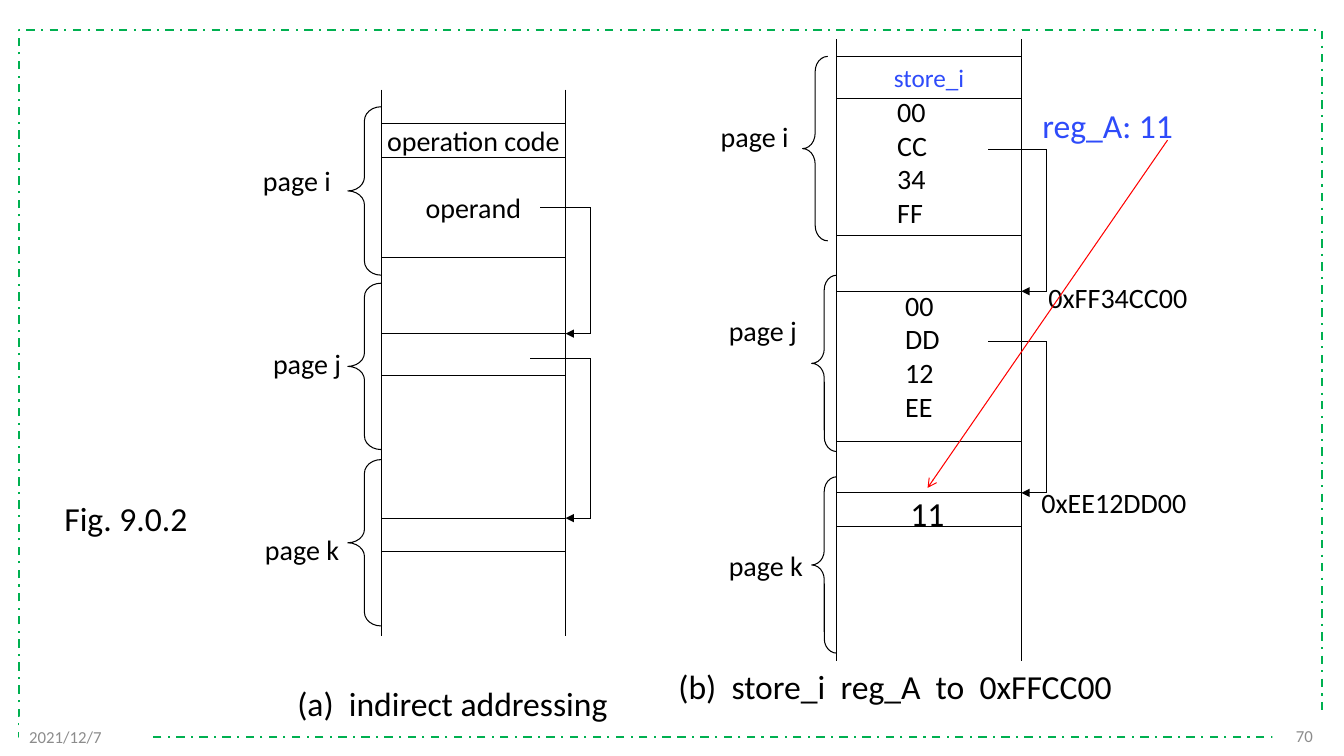
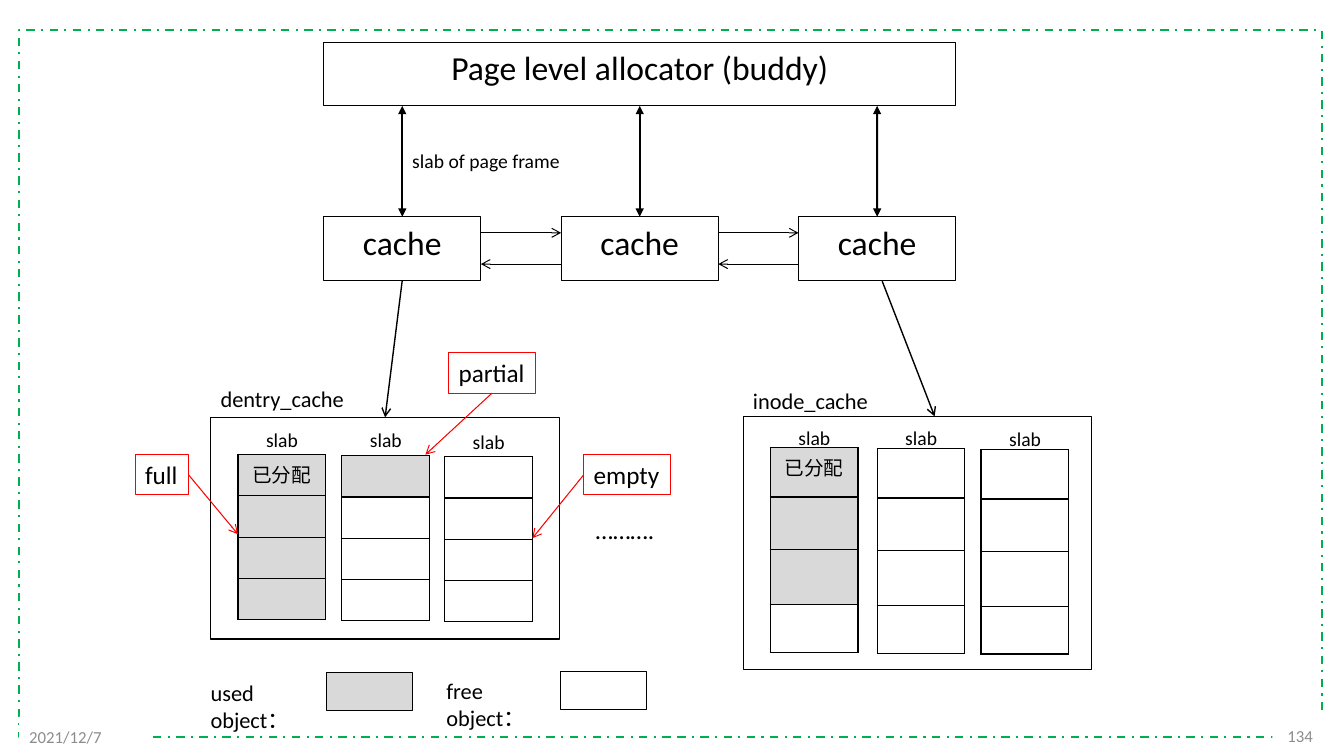
import pptx
import pptx.util
import pptx.dml.color
import pptx.enum.dml
import pptx.enum.shapes
import pptx.enum.text
import pptx.oxml
import pptx.oxml.ns
import lxml.etree

Inches = pptx.util.Inches
Pt = pptx.util.Pt
rgb = pptx.dml.color.RGBColor.from_string
qn = pptx.oxml.ns.qn
SHAPE = pptx.enum.shapes.MSO_SHAPE
ALIGN = pptx.enum.text.PP_ALIGN
ANCHOR = pptx.enum.text.MSO_ANCHOR
FONT = "Calibri"
BLACK, WHITE, GREY = "000000", "FFFFFF", "D9D9D9"
RED, BLUE, GREEN, FOOTER = "FF0000", "2E4BFA", "00B050", "8C8C8C"


def add_box(s, x, y, w, h, text="", size=20, color=BLACK, fill=None, line=None,
            shape=SHAPE.RECTANGLE, align=ALIGN.LEFT, anchor=ANCHOR.TOP, wrap=False):
    rect = Inches(x), Inches(y), Inches(w), Inches(h)
    if fill or line:
        sp = s.shapes.add_shape(shape, *rect)
        sp.shadow.inherit = False
        if fill:
            sp.fill.solid()
            sp.fill.fore_color.rgb = rgb(fill)
        else:
            sp.fill.background()
        if line:
            sp.line.color.rgb = rgb(line)
            sp.line.width = Pt(0.75)
        else:
            sp.line.fill.background()
    else:
        sp = s.shapes.add_textbox(*rect)
    if text:
        tf = sp.text_frame
        tf.word_wrap = wrap
        tf.vertical_anchor = anchor
        tf.text = text
        for p in tf.paragraphs:
            p.alignment = align
            p.font.name = FONT
            p.font.size = Pt(size)
            p.font.color.rgb = rgb(color)
    return sp


def add_line(s, x1, y1, x2, y2, color=BLACK, width=0.75, head=None, tail=None,
             begin=None, end=None):
    cx = s.shapes.add_connector(pptx.enum.shapes.MSO_CONNECTOR.STRAIGHT,
                                Inches(x1), Inches(y1), Inches(x2), Inches(y2))
    if begin:
        cx.begin_connect(*begin)
    if end:
        cx.end_connect(*end)
    cx.line.color.rgb = rgb(color)
    cx.line.width = Pt(width)
    ln = cx.line._get_or_add_ln()
    for tag, kind in (("a:headEnd", head), ("a:tailEnd", tail)):
        if kind:
            lxml.etree.SubElement(ln, qn(tag)).set("type", kind)
    lxml.etree.SubElement(cx._element.spPr, qn("a:effectLst"))
    return cx


prs = pptx.Presentation()
prs.slide_width, prs.slide_height = Inches(13.33), Inches(7.5)
paging, slab = [prs.slides.add_slide(prs.slide_layouts[6]) for _ in range(2)]

frame = add_box(paging, 0.19, 0.3, 12.92, 7.01, line=GREEN)
frame.line.width = Pt(1.5)
frame.line.dash_style = pptx.enum.dml.MSO_LINE.DASH_DOT
prs.slide_master.shapes._spTree.insert(2, frame._element)

for s, number in ((paging, "70"), (slab, "134")):
    add_box(s, 12.62, 7.1, 0.5, 0.4, number, 12, FOOTER, WHITE,
            align=ALIGN.RIGHT, anchor=ANCHOR.MIDDLE, wrap=True)
    add_box(s, 0.19, 7.11, 1.32, 0.4, "2021/12/7", 12, FOOTER, WHITE,
            anchor=ANCHOR.MIDDLE, wrap=True)

s = paging
COLUMN_W = 1.83
for x, y, h, text, size, color in (
    (3.78, 1.23, 0.33, "operation code", 20, BLACK),
    (3.78, 1.56, 1, "operand", 20, BLACK),
    (3.78, 3.31, 0.42, "", 20, BLACK),
    (3.78, 5.14, 0.33, "", 20, BLACK),
    (8.3, 0.56, 0.42, "store_i", 18, BLUE),
    (8.3, 0.98, 1.36, "", 20, BLACK),
    (8.3, 2.89, 1.49, "", 20, BLACK),
    (8.3, 4.89, 0.33, "", 20, BLACK),
):
    add_box(s, x, y, COLUMN_W, h, text, size, color, WHITE, BLACK,
            align=ALIGN.CENTER, anchor=ANCHOR.MIDDLE)

for left, top, bottom in ((3.78, 0.89, 6.31), (8.3, 0.39, 6.56)):
    for x in (left, left + COLUMN_W):
        add_line(s, x, top, x, bottom)

for x, y, w, h, adj in (
    (3.45, 1.06, 0.33, 1.67, 0.42), (3.45, 2.81, 0.33, 1.65, 0.41),
    (3.45, 4.56, 0.33, 1.65, 0.41), (7.96, 0.56, 0.25, 1.83, 0.61),
    (8.05, 2.73, 0.25, 1.75, 0.58), (8.05, 4.73, 0.25, 1.75, 0.58),
):
    brace = add_box(s, x, y, w, h, line=BLACK, shape=SHAPE.LEFT_BRACE)
    brace.adjustments[0] = adj

for x, y, column_right, target in (
    (5.36, 2.06, 5.61, 3.31), (5.26, 3.56, 5.61, 5.14),
    (9.8, 1.48, 10.13, 2.89), (9.8, 3.39, 10.13, 4.89),
):
    bend = column_right + 0.25
    add_line(s, x, y, bend, y)
    add_line(s, bend, y, bend, target)
    add_line(s, bend, target, column_right, target, tail="triangle")

for x, y, w, h, text, size, color in (
    (2.51, 1.57, 0.89, 0.44, "page i", 20, BLACK),
    (2.61, 3.39, 0.9, 0.44, "page j", 20, BLACK),
    (2.53, 5.23, 0.96, 0.44, "page k", 20, BLACK),
    (7.05, 1.14, 0.89, 0.44, "page i", 20, BLACK),
    (7.13, 3.06, 0.9, 0.44, "page j", 20, BLACK),
    (7.13, 5.39, 0.96, 0.44, "page k", 20, BLACK),
    (8.8, 0.89, 0.5, 1.45, "00\nCC\n34\nFF", 20, BLACK),
    (8.88, 2.81, 0.55, 1.45, "00\nDD\n12\nEE", 20, BLACK),
    (10.3, 2.73, 1.59, 0.44, "0xFF34CC00", 20, BLACK),
    (10.23, 4.77, 1.65, 0.44, "0xEE12DD00", 20, BLACK),
    (8.93, 4.84, 0.54, 0.5, "11", 24, BLACK),
    (10.24, 0.99, 1.56, 0.5, "reg_A: 11", 24, BLUE),
    (0.54, 4.89, 1.43, 0.5, "Fig. 9.0.2", 24, BLACK),
    (2.85, 6.73, 3.31, 0.5, "(a)  indirect addressing", 24, BLACK),
    (6.63, 6.56, 4.6, 0.5, "(b)  store_i  reg_A  to  0xFFCC00", 24, BLACK),
):
    add_box(s, x, y, w, h, text, size, color)
add_line(s, 11.58, 1.39, 9.2, 4.84, RED, tail="arrow")

s = slab
allocator = add_box(s, 3.21, 0.42, 6.27, 0.63, "Page level allocator (buddy)", 24,
                    fill=WHITE, line=BLACK, align=ALIGN.CENTER)
CACHE_W, CACHE_STEP = 1.56, 2.355
caches = []
for i in range(3):
    x = 3.21 + i * CACHE_STEP
    cache = add_box(s, x, 2.15, CACHE_W, 0.63, "cache", 24,
                    fill=WHITE, line=BLACK, align=ALIGN.CENTER)
    caches.append(cache)
    mid = x + CACHE_W / 2
    add_line(s, mid, 1.05, mid, 2.15, width=1.5, head="triangle", tail="triangle",
             begin=(allocator, 2) if i == 1 else None, end=(cache, 0))
    if i < 2:
        right, following = x + CACHE_W, x + CACHE_STEP
        add_line(s, right, 2.31, following, 2.31, tail="arrow")
        add_line(s, following, 2.62, right, 2.62, tail="arrow")

dentry = add_box(s, 2.09, 4.14, 3.46, 2.2, line=BLACK)
add_box(s, 7.37, 4.13, 3.46, 2.51, line=BLACK)
add_line(s, 3.99, 2.78, 3.83, 4.14, width=1, tail="arrow",
         begin=(caches[0], 2), end=(dentry, 0))
add_line(s, 8.75, 2.79, 9.27, 4.13, width=1, tail="arrow")

SLAB_W = 0.87
dentry_rows, inode_rows = [0.41] * 4, [0.49, 0.52, 0.55, 0.47]
for x, y, label_y, rows, used, text in (
    (2.36, 4.51, 4.2, dentry_rows, 4, "已分配"),
    (3.39, 4.52, 4.2, dentry_rows, 1, ""),
    (4.41, 4.53, 4.22, dentry_rows, 0, ""),
    (7.64, 4.44, 4.18, inode_rows, 3, "已分配"),
    (8.7, 4.45, 4.18, inode_rows, 0, ""),
    (9.73, 4.46, 4.19, inode_rows, 0, ""),
):
    table = s.shapes.add_table(len(rows), 1, Inches(x), Inches(y),
                               Inches(SLAB_W), Inches(sum(rows))).table
    table.first_row = table.horz_banding = False
    for i, height in enumerate(rows):
        table.rows[i].height = Inches(height)
        cell = table.cell(i, 0)
        tcPr = cell._tc.get_or_add_tcPr()
        for side in ("a:lnL", "a:lnR", "a:lnT", "a:lnB"):
            ln = lxml.etree.SubElement(tcPr, qn(side), w=str(Pt(1)))
            solid = lxml.etree.SubElement(ln, qn("a:solidFill"))
            lxml.etree.SubElement(solid, qn("a:srgbClr"), val=BLACK)
        if i < used:
            cell.fill.solid()
            cell.fill.fore_color.rgb = rgb(GREY)
        else:
            cell.fill.background()
        p = cell.text_frame.paragraphs[0]
        if i == 0 and text:
            p.text = text
        p.alignment = ALIGN.CENTER
        p.font.name = FONT
        p.font.size = Pt(14)
        p.font.color.rgb = rgb(BLACK)
    add_box(s, x + 0.18, label_y, 0.52, 0.34, "slab", 14)

for x, y, w, text, size in (
    (2.09, 3.77, 1.44, "dentry_cache", 16),
    (7.37, 3.79, 1.36, "inode_cache", 16),
    (3.99, 1.43, 1.68, "slab of page frame", 14),
    (5.81, 5.05, 0.79, "……….", 18),
):
    add_box(s, x, y, w, 0.37, text, size)

for x, y, w, text, side, x1, y1, x2, y2 in (
    (1.34, 4.51, 0.53, "full", 3, 1.87, 4.71, 2.36, 5.3),
    (4.45, 3.5, 0.86, "partial", 2, 4.88, 3.9, 4.22, 4.51),
    (5.79, 4.51, 0.86, "empty", 1, 5.79, 4.71, 5.28, 5.34),
):
    tag = add_box(s, x, y, w, 0.4, text, 18, line=RED)
    add_line(s, x1, y1, x2, y2, RED, tail="arrow", begin=(tag, side))

for x, y, text, swatch_x, swatch_y, fill in (
    (1.99, 6.69, "used object：", 3.24, 6.67, GREY),
    (4.33, 6.67, "free object：", 5.56, 6.66, None),
):
    add_box(s, x, y, 1.2, 0.6, text, 16, wrap=True)
    add_box(s, swatch_x, swatch_y, 0.85, 0.38, fill=fill, line=BLACK)

prs.save("out.pptx")
